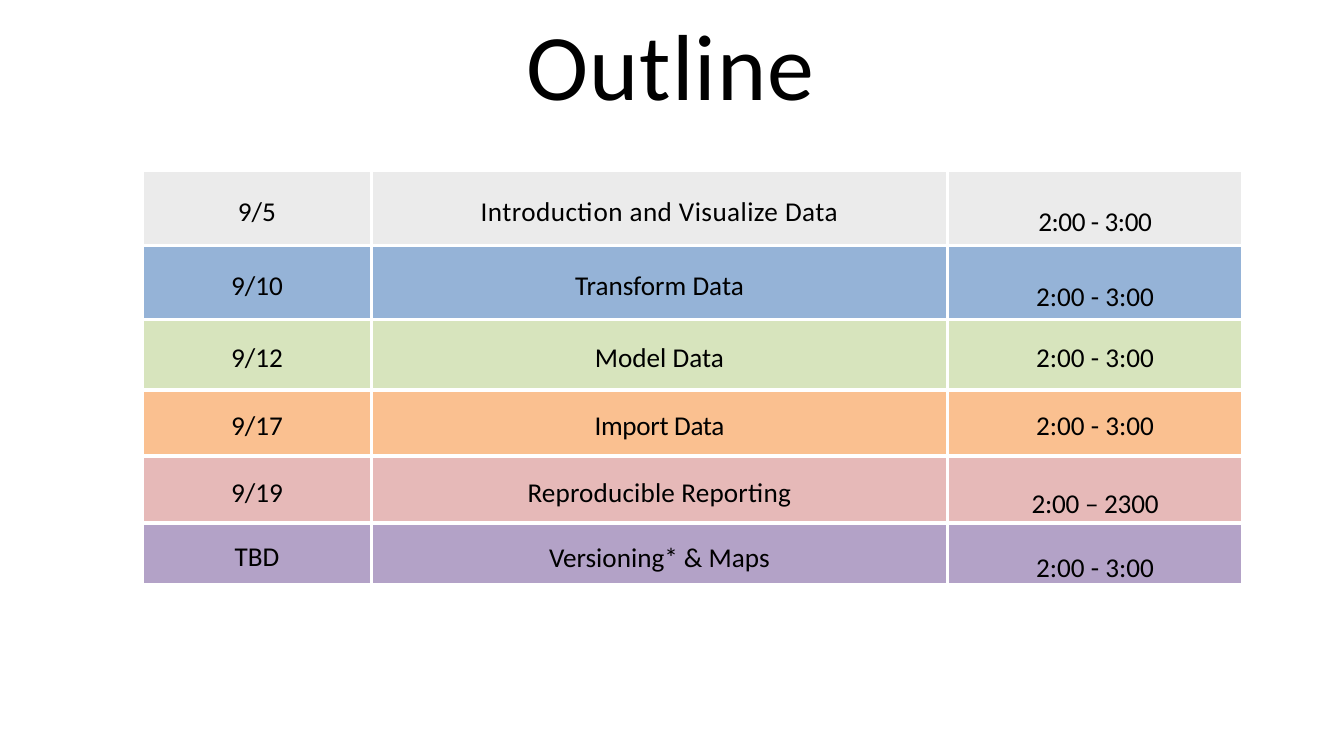
from dataclasses import dataclass

from pptx import Presentation
from pptx.dml.color import RGBColor
from pptx.enum.text import MSO_ANCHOR, PP_ALIGN
from pptx.oxml import parse_xml
from pptx.oxml.ns import nsdecls
from pptx.slide import Slide
from pptx.table import _Cell
from pptx.text.text import _Paragraph
from pptx.util import Cm, Pt

CENTER = PP_ALIGN.CENTER
MIDDLE = MSO_ANCHOR.MIDDLE
TOP = MSO_ANCHOR.TOP

FONT = "Calibri"
BORDER_WIDTH = Pt(4.25)
BLANK_LAYOUT = 6
COLORS = {
    "text": "000000",
    "border": "FFFFFF",
    "gray": "EBEBEB",
    "blue": "95B3D7",
    "green": "D7E4BD",
    "orange": "FAC090",
    "rose": "E6B9B8",
    "purple": "B3A2C7",
}


@dataclass(frozen=True)
class CellLayout:
    top_margin: float
    line_spacing: float = 1.0


LOOSE = CellLayout(0.25, 1.05)
EVEN = CellLayout(0.28)
LOW = CellLayout(1.19)


@dataclass(frozen=True)
class Entry:
    text: str
    layout: CellLayout
    tracking: float = 0


@dataclass(frozen=True)
class Session:
    height: float
    color: str
    entries: tuple[Entry, Entry, Entry]


COLUMN_WIDTHS = (9.52, 23.93, 12.27)
SESSIONS = (
    Session(3.1, "gray", (
        Entry("9/5", LOOSE),
        Entry("Introduction and Visualize Data", LOOSE, 0.5),
        Entry("2:00 - 3:00", LOW, -0.5))),
    Session(3.1, "blue", (
        Entry("9/10", LOOSE),
        Entry("Transform Data", LOOSE),
        Entry("2:00 - 3:00", LOW))),
    Session(2.92, "green", (
        Entry("9/12", EVEN),
        Entry("Model Data", EVEN),
        Entry("2:00 - 3:00", EVEN))),
    Session(2.74, "orange", (
        Entry("9/17", EVEN),
        Entry("Import Data", EVEN, -0.4),
        Entry("2:00 - 3:00", EVEN))),
    Session(2.79, "rose", (
        Entry("9/19", EVEN),
        Entry("Reproducible Reporting", LOOSE, 0.2),
        Entry("2:00 – 2300", LOW, -0.3))),
    Session(2.57, "purple", (
        Entry("TBD", EVEN),
        Entry("Versioning* & Maps", LOOSE),
        Entry("2:00 - 3:00", LOW))),
)


def write_text(paragraph: _Paragraph, text: str, size: float, tracking: float) -> None:
    """Fill a paragraph with one run; tracking is letter spacing in points."""
    run = paragraph.add_run()
    run.text = text
    if tracking:
        run.font._element.set("spc", str(round(tracking * 100)))
    paragraph.font.name = FONT
    paragraph.font.size = Pt(size)
    paragraph.font.color.rgb = RGBColor.from_string(COLORS["text"])


def add_title(slide: Slide) -> None:
    title = slide.shapes.add_textbox(Cm(21.87), Cm(0.25), Cm(12.12), Cm(4.75))
    frame = title.text_frame
    frame.word_wrap = True
    frame.vertical_anchor = TOP
    frame.margin_left = frame.margin_right = frame.margin_bottom = 0
    frame.margin_top = Cm(0.03)
    write_text(frame.paragraphs[0], "Outline", 110.5, 1.3)


def add_borders(cell: _Cell) -> None:
    properties = cell._tc.get_or_add_tcPr()
    for side in ("lnL", "lnR", "lnT", "lnB"):
        properties.append(parse_xml(
            f'<a:{side} {nsdecls("a")} w="{BORDER_WIDTH}"><a:solidFill>'
            f'<a:srgbClr val="{COLORS["border"]}"/></a:solidFill></a:{side}>'))


def fill_cell(cell: _Cell, entry: Entry, color: str) -> None:
    add_borders(cell)
    cell.fill.solid()
    cell.fill.fore_color.rgb = RGBColor.from_string(COLORS[color])
    cell.vertical_anchor = MIDDLE
    cell.margin_left = cell.margin_right = cell.margin_bottom = 0
    cell.margin_top = Cm(entry.layout.top_margin)
    paragraph = cell.text_frame.paragraphs[0]
    paragraph.alignment = CENTER
    paragraph.line_spacing = entry.layout.line_spacing
    write_text(paragraph, entry.text, 32, entry.tracking)


def add_schedule(slide: Slide) -> None:
    height = sum(session.height for session in SESSIONS)
    table = slide.shapes.add_table(
        len(SESSIONS), len(COLUMN_WIDTHS),
        Cm(5.92), Cm(7.09), Cm(sum(COLUMN_WIDTHS)), Cm(height)).table
    table.first_row = False
    table.horz_banding = False
    for column, width in zip(table.columns, COLUMN_WIDTHS):
        column.width = Cm(width)
    for row, session in zip(table.rows, SESSIONS):
        row.height = Cm(session.height)
        for cell, entry in zip(row.cells, session.entries):
            fill_cell(cell, entry, session.color)


def main() -> None:
    presentation = Presentation()
    presentation.slide_width = Cm(55.85)
    presentation.slide_height = Cm(31.42)
    slide = presentation.slides.add_slide(presentation.slide_layouts[BLANK_LAYOUT])
    add_title(slide)
    add_schedule(slide)
    presentation.save("out.pptx")


if __name__ == "__main__":
    main()
